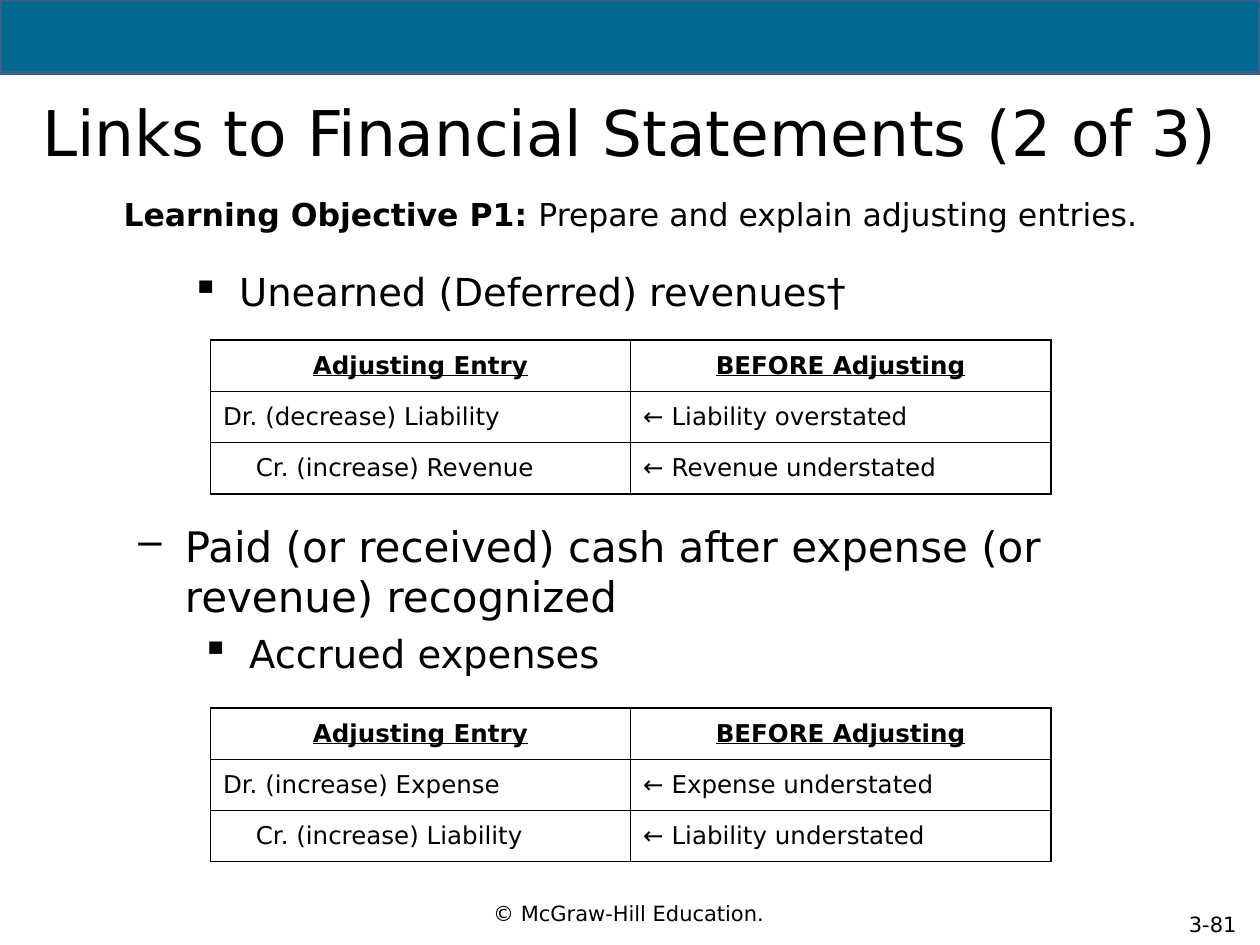
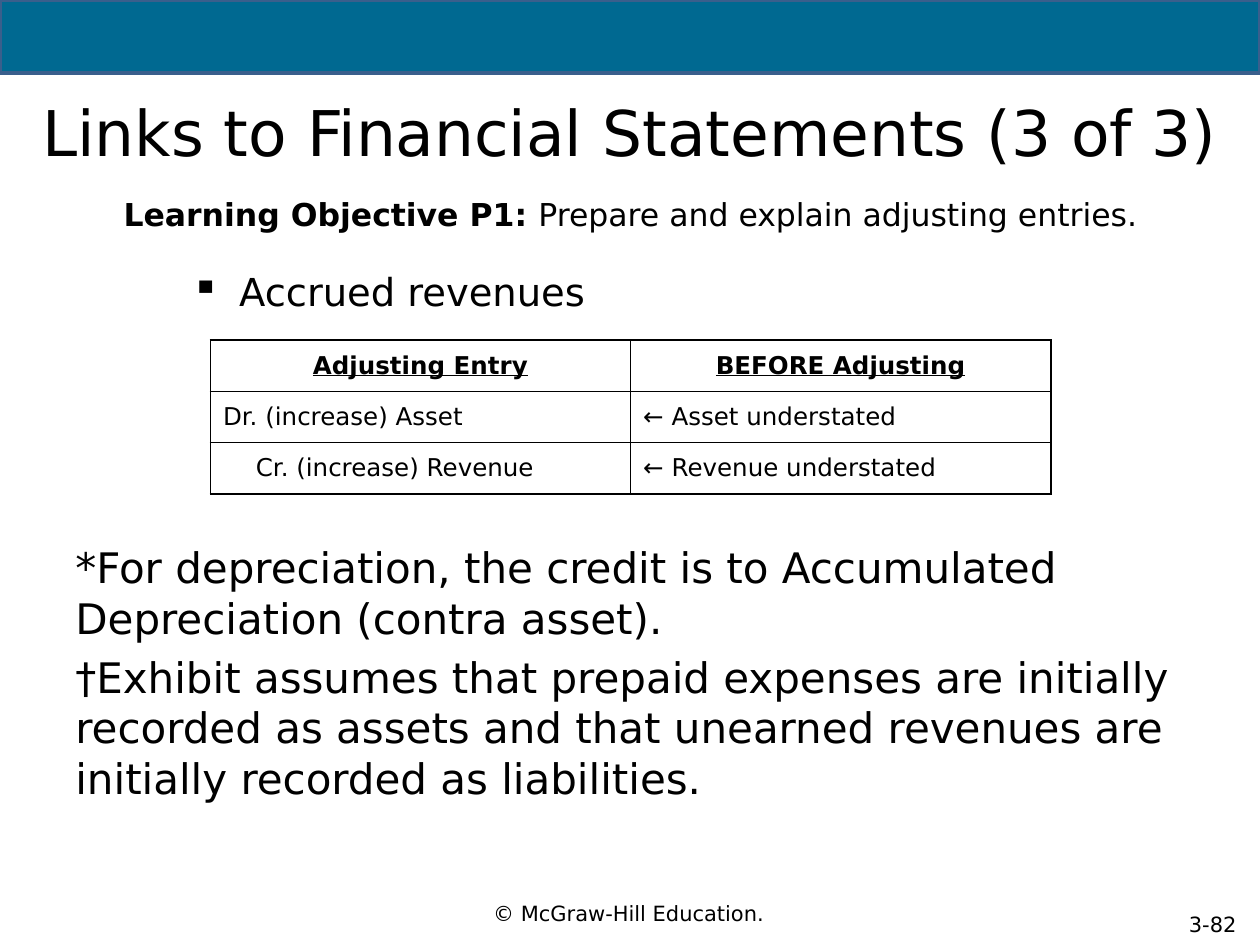
import lxml.etree
import pptx
import pptx.dml.color
import pptx.enum.shapes
import pptx.enum.text
import pptx.oxml.ns
import pptx.util

Inches, Pt = pptx.util.Inches, pptx.util.Pt
ALIGN = pptx.enum.text.PP_ALIGN
MIDDLE = pptx.enum.text.MSO_ANCHOR.MIDDLE
COLORS = {"band": "006991", "band_edge": "3A5F8C", "text": "000000", "rule": "000000"}
FONT = "DejaVu Sans"
DASH, SQUARE = ("–", 0.87, -0.37), ("▪", 1.38, -0.38)  # mark, left margin, indent
ENTRY_HEADINGS = ("Adjusting Entry", "BEFORE Adjusting")


def rgb(name):
    return pptx.dml.color.RGBColor.from_string(COLORS[name])


def add_xml(parent, tag, **attributes):
    return lxml.etree.SubElement(parent, pptx.oxml.ns.qn(tag), **attributes)


def style(paragraph, size, align=ALIGN.LEFT, bold=None, underline=None):
    paragraph.alignment = align
    font = paragraph.font
    font.name, font.size, font.bold, font.underline = FONT, Pt(size), bold, underline
    font.color.rgb = rgb("text")


def set_indent(paragraph, left, first=0):
    properties = paragraph._p.get_or_add_pPr()
    properties.set("marL", str(Inches(left)))
    properties.set("indent", str(Inches(first)))


def add_frame(slide, box, anchor=pptx.enum.text.MSO_ANCHOR.TOP):
    frame = slide.shapes.add_textbox(*map(Inches, box)).text_frame
    frame.word_wrap = True
    frame.vertical_anchor = anchor
    return frame


def add_centered_line(slide, box, text, size):
    line = add_frame(slide, box, MIDDLE).paragraphs[0]
    line.text = text
    style(line, size, ALIGN.CENTER)


def add_outline(slide, box, items):
    """Items are (text, size, bullet); bullet may be None."""
    frame = add_frame(slide, box)
    for i, (text, size, bullet) in enumerate(items):
        paragraph = frame.add_paragraph() if i else frame.paragraphs[0]
        paragraph.text = text
        if i:
            paragraph.space_before = Pt(5)
        if bullet:
            mark, left, first = bullet
            set_indent(paragraph, left, first)
            add_xml(paragraph._p.get_or_add_pPr(), "a:buChar", char=mark)
        style(paragraph, size)


def add_borders(cell):
    properties = cell._tc.get_or_add_tcPr()
    for side in ("a:lnL", "a:lnR", "a:lnT", "a:lnB"):
        border = add_xml(properties, side, w=str(Pt(1)))
        add_xml(add_xml(border, "a:solidFill"), "a:srgbClr", val=COLORS["rule"])


def add_entry_table(slide, top, debit, credit):
    """Adjusting entry: headings, then a debit and an indented credit row."""
    rows = (ENTRY_HEADINGS, debit, credit)
    box = (1.67, top, 6.67, 1.22)
    table = slide.shapes.add_table(len(rows), 2, *map(Inches, box)).table
    table.first_row = table.horz_banding = False
    for r, row in enumerate(rows):
        for c, text in enumerate(row):
            cell = table.cell(r, c)
            cell.text = text
            cell.vertical_anchor = MIDDLE
            add_borders(cell)
            cell.fill.background()
            paragraph = cell.text_frame.paragraphs[0]
            if r == 2 and c == 0:
                set_indent(paragraph, 0.26)
            heading = r == 0
            style(paragraph, 14, ALIGN.CENTER if heading else ALIGN.LEFT, heading, heading)


def add_base(deck, part, page):
    """Band, footers, title and learning objective shared by every slide."""
    slide = deck.slides.add_slide(deck.slide_layouts[6])
    band = slide.shapes.add_shape(
        pptx.enum.shapes.MSO_SHAPE.RECTANGLE, 0, 0, deck.slide_width, Inches(0.58))
    band.shadow.inherit = False
    band.fill.solid()
    band.fill.fore_color.rgb = rgb("band")
    band.line.color.rgb = rgb("band_edge")
    band.line.width = Pt(2)

    add_centered_line(slide, (9.25, 7.17, 0.75, 0.33), page, 12)
    add_centered_line(slide, (0.94, 7, 8.1, 0.5), "© McGraw-Hill Education.", 12)
    add_centered_line(slide, (0, 0.58, 10, 0.92),
                      f"Links to Financial Statements ({part} of 3)", 36)

    objective = add_frame(slide, (0.67, 1.5, 8.67, 0.5)).paragraphs[0]
    objective.add_run().text = "Learning Objective P1: "
    objective.runs[0].font.bold = True
    objective.add_run().text = "Prepare and explain adjusting entries."
    style(objective, 18, ALIGN.CENTER)
    return slide


def add_first_entry(slide, topic, debit, credit):
    """Topic bullet with its entry table, at the top of the content area."""
    add_outline(slide, (0.42, 2.08, 9.17, 0.5), [(topic, 22, SQUARE)])
    add_entry_table(slide, 2.7, debit, credit)


def build_deferrals_slide(deck):
    slide = add_base(deck, 2, "3-81")
    add_first_entry(slide, "Unearned (Deferred) revenues†",
                    ("Dr. (decrease) Liability", "← Liability overstated"),
                    ("Cr. (increase) Revenue", "← Revenue understated"))
    add_outline(slide, (0.5, 4.08, 9, 1.33), [
        ("Paid (or received) cash after expense (or revenue) recognized", 24, DASH),
        ("Accrued expenses", 22, SQUARE),
    ])
    add_entry_table(slide, 5.62,
                    ("Dr. (increase) Expense", "← Expense understated"),
                    ("Cr. (increase) Liability", "← Liability understated"))


def build_accruals_slide(deck):
    slide = add_base(deck, 3, "3-82")
    add_first_entry(slide, "Accrued revenues",
                    ("Dr. (increase) Asset", "← Asset understated"),
                    ("Cr. (increase) Revenue", "← Revenue understated"))
    # Footnotes
    add_outline(slide, (0.5, 4.25, 9, 2.75), [
        ("*For depreciation, the credit is to Accumulated Depreciation (contra asset).",
         24, None),
        ("†Exhibit assumes that prepaid expenses are initially recorded as assets and "
         "that unearned revenues are initially recorded as liabilities.", 24, None),
    ])


def main():
    deck = pptx.Presentation()
    deck.slide_width, deck.slide_height = Inches(10), Inches(7.5)
    build_deferrals_slide(deck)
    build_accruals_slide(deck)
    deck.save("out.pptx")


if __name__ == "__main__":
    main()
